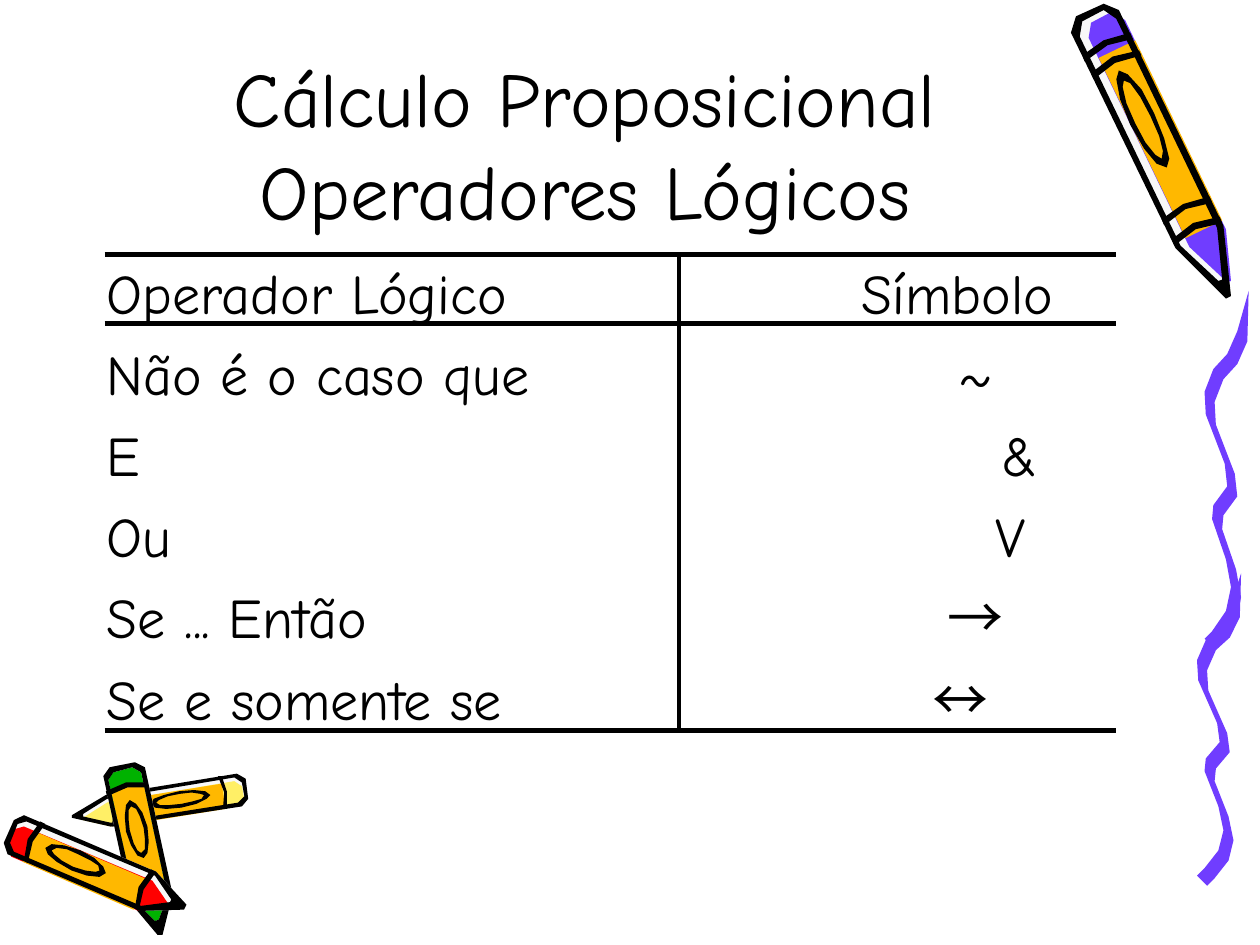
import math
from dataclasses import dataclass

from lxml import etree
from pptx import Presentation
from pptx import util as u
from pptx.dml.color import RGBColor
from pptx.enum import shapes, text
from pptx.oxml import ns

PX = 9144  # EMU per px, 100 px to the inch
FONT = "Comic Neue"
SYMBOL_FONT = "Noto Sans CJK KR"

BLACK = RGBColor(0x00, 0x00, 0x00)
PURPLE = RGBColor(0x70, 0x3D, 0xFF)
ORANGE = RGBColor(0xFF, 0xB8, 0x00)
PAPER = RGBColor(0xF8, 0xF8, 0xF8)
YELLOW = RGBColor(0xFF, 0xEF, 0x66)
RED = RGBColor(0xFF, 0x00, 0x00)
GREEN = RGBColor(0x00, 0xB2, 0x00)

# Parts of every crayon, as shares of its length
SHOULDER, CONE = 0.04, 0.79
LABEL_START, LABEL_END = 0.13, 0.76
OVAL_CENTER, OVAL_REACH = 0.38, 0.17

# Middle line of the squiggle, from its pointed top to its end
SQUIGGLE = [(991, 231), (986, 267), (978, 285), (967, 297), (960, 315), (961, 333),
            (976, 372), (978, 390), (967, 405), (966, 416), (977, 448), (981, 470),
            (977, 489), (966, 505), (960, 511)]
SQUIGGLE_HALF = 4

# Operator, symbol, tab stop of the symbol in px, font of the symbol
OPERATORS = [
    ("Operador Lógico", "Símbolo", 599, FONT),
    ("Não é o caso que", "~", 676, FONT),
    ("E", "&", 710, FONT),
    ("Ou", "V", 705, FONT),
    ("Se ... Então", "→", 667, SYMBOL_FONT),
    ("Se e somente se", "↔", 655, SYMBOL_FONT),
]


@dataclass
class Crayon:
    wax: RGBColor
    tail: tuple
    tip: tuple
    half: int  # half of the thickness
    spill: tuple  # how far the colours slip out of the outline
    bands: tuple = (LABEL_START, LABEL_END)

    @property
    def length(self):
        return math.dist(self.tail, self.tip)

    @property
    def stroke(self):
        return self.half // 4

    def place(self, points, shift=(0, 0)):
        """Turn (along, across) px, counted from the tail, into slide px."""
        along_x = (self.tip[0] - self.tail[0]) / self.length
        along_y = (self.tip[1] - self.tail[1]) / self.length
        return [(round(self.tail[0] + along * along_x - across * along_y + shift[0]),
                 round(self.tail[1] + along * along_y + across * along_x + shift[1]))
                for along, across in points]

    def silhouette(self, inset=0):
        side = self.half - inset
        upper = [(inset, 0.6 * side), (SHOULDER * self.length + inset, side),
                 (CONE * self.length, side), (self.length - 3 * inset, 0.1 * side)]
        return upper + mirror(upper)

    def label(self):
        side = self.half - self.stroke
        upper = [(LABEL_START * self.length, side), (LABEL_END * self.length, side)]
        return upper + mirror(upper)

    def band(self, share):
        start, side = share * self.length, self.half
        front = [(start, -side), (start - side / 5, 0), (start, side)]
        back = [(along + self.stroke, across) for along, across in reversed(front)]
        return front + back

    def oval(self, scale=1.0, corners=12):
        angles = [2 * math.pi * corner / corners for corner in range(corners)]
        return [(self.length * (OVAL_CENTER + OVAL_REACH * scale * math.cos(angle)),
                 self.half * 0.5 * scale * scale * math.sin(angle)) for angle in angles]


PURPLE_CRAYON = Crayon(PURPLE, (865, 8), (975, 236), 21, (7, 1), (0.12, 0.18, 0.69, 0.76))
SMALL_CRAYONS = [
    Crayon(YELLOW, (196, 626), (57, 648), 13, (0, 3)),
    Crayon(GREEN, (97, 607), (127, 742), 17, (0, 0)),
    Crayon(RED, (7, 660), (147, 720), 17, (-2, 4)),
]


def px(*lengths):
    return [u.Emu(length * PX) for length in lengths]


def mirror(points):
    return [(along, -across) for along, across in reversed(points)]


def draw_outline(group, color, outer, hole=()):
    builder = group.shapes.build_freeform(*outer[0], scale=PX)
    builder.add_line_segments(outer[1:], close=True)
    if hole:
        builder.move_to(*hole[-1])
        builder.add_line_segments(hole[-2::-1], close=True)
    piece = builder.convert_to_shape()
    piece.shadow.inherit = False
    piece.fill.solid()
    piece.fill.fore_color.rgb = color
    piece.line.fill.background()


def draw_crayon(group, crayon):
    place = crayon.place
    body, inside = crayon.silhouette(), crayon.silhouette(crayon.stroke)
    draw_outline(group, PAPER, place(body))
    draw_outline(group, crayon.wax, place(inside, crayon.spill))
    draw_outline(group, ORANGE, place(crayon.label(), crayon.spill))
    for share in crayon.bands:
        draw_outline(group, BLACK, place(crayon.band(share)))
    draw_outline(group, BLACK, place(crayon.oval()), place(crayon.oval(0.8)))
    draw_outline(group, BLACK, place(body), place(inside))


def draw_squiggle(group, left=0, top=0, stretch=1.0):
    line = [(x + left, round((y - SQUIGGLE[0][1]) * stretch) + SQUIGGLE[0][1] + top)
            for x, y in SQUIGGLE]
    near = [(x - SQUIGGLE_HALF, y - SQUIGGLE_HALF) for x, y in line[1:]]
    far = [(x + SQUIGGLE_HALF, y + SQUIGGLE_HALF) for x, y in line[1:]]
    draw_outline(group, PURPLE, line[:1] + near + far[::-1])


def add_rule(slide, start_x, start_y, end_x, end_y, width=3):
    rule = slide.shapes.add_connector(
        shapes.MSO_CONNECTOR.STRAIGHT, *px(start_x, start_y, end_x, end_y))
    rule.line.color.rgb = BLACK
    rule.line.width = u.Pt(width)
    etree.SubElement(rule._element.spPr, ns.qn("a:effectLst"))


def add_run(paragraph, words, size, font=FONT):
    run = paragraph.add_run()
    run.text = words
    run.font.size = u.Pt(size)
    run.font.name = font
    run.font.color.rgb = BLACK
    etree.SubElement(run.font._element, ns.qn("a:ea"), typeface=font)


def add_title(slide, first_line, second_line):
    title = slide.shapes.title
    title.left, title.top, title.width, title.height = px(75, 17, 779, 175)
    frame = title.text_frame
    frame.auto_size = text.MSO_AUTO_SIZE.NONE
    frame.vertical_anchor = text.MSO_ANCHOR.BOTTOM
    heading = frame.paragraphs[0]
    heading.alignment = text.PP_ALIGN.CENTER
    add_run(heading, first_line, 44)
    heading.add_line_break()
    add_run(heading, second_line, 44)


def add_operators(slide):
    frame = slide.shapes.add_textbox(*px(75, 200, 842, 400)).text_frame
    frame.word_wrap = True
    for index, (operator, symbol, stop, font) in enumerate(OPERATORS):
        row = frame.paragraphs[0] if index == 0 else frame.add_paragraph()
        row.space_before = u.Pt(8 if index else 0)
        tabs = etree.SubElement(row._p.get_or_add_pPr(), ns.qn("a:tabLst"))
        etree.SubElement(tabs, ns.qn("a:tab"), pos=str(stop * PX), algn="l")
        add_run(row, operator + "\t", 32)
        add_run(row, symbol, 32, font)


def main():
    deck = Presentation()
    deck.slide_width, deck.slide_height = px(1000, 750)
    slide = deck.slides.add_slide(deck.slide_layouts[5])

    # Crayons, and the squiggle that the purple one leaves
    small_group = slide.shapes.add_group_shape()
    for crayon in SMALL_CRAYONS:
        draw_crayon(small_group, crayon)
    squiggle_group = slide.shapes.add_group_shape()
    draw_squiggle(squiggle_group, left=-6, top=224, stretch=0.87)
    draw_squiggle(squiggle_group)
    draw_crayon(slide.shapes.add_group_shape(), PURPLE_CRAYON)

    # Title and list of operators
    add_title(slide, "Cálculo Proposicional", "Operadores Lógicos")
    add_operators(slide)

    # Rules around the list
    for y in (202, 257, 580):
        add_rule(slide, 83, y, 886, y)
    add_rule(slide, 539, 202, 539, 580, 2.25)

    deck.save("out.pptx")


if __name__ == "__main__":
    main()
